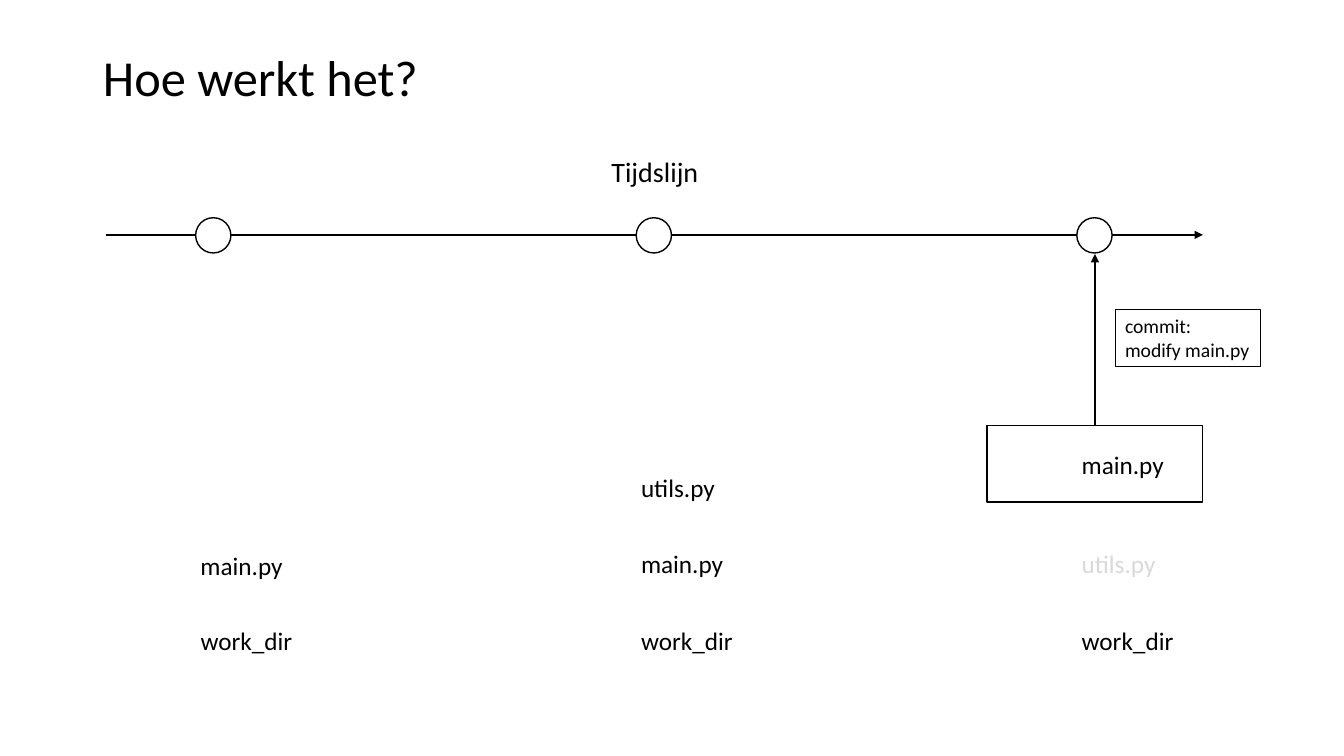
import pptx
import pptx.dml.color
import pptx.enum.shapes
import pptx.enum.text
import pptx.oxml
import pptx.oxml.ns
import pptx.util

Inches = pptx.util.Inches
Pt = pptx.util.Pt
Shape = pptx.enum.shapes.MSO_SHAPE
Align = pptx.enum.text.PP_ALIGN
Anchor = pptx.enum.text.MSO_ANCHOR
AutoSize = pptx.enum.text.MSO_AUTO_SIZE

BLACK = pptx.dml.color.RGBColor(0x00, 0x00, 0x00)
WHITE = pptx.dml.color.RGBColor(0xFF, 0xFF, 0xFF)
GREY = pptx.dml.color.RGBColor(0xD9, 0xD9, 0xD9)

FIRST_LABEL, FIRST_COMMIT, COMMIT_STEP = 1.89, 1.94, 4.37
COMMIT_SIZE, COMMIT_TOP = 0.35, 2.16
TIMELINE_Y = 2.33
FILE_WIDTHS = {"work_dir": 1.12, "main.py": 1.04, "utils.py": 0.94}
WORK_DIRS = [
    [("work_dir", 6.15, BLACK), ("main.py", 5.41, BLACK)],
    [("work_dir", 6.15, BLACK), ("main.py", 5.39, BLACK), ("utils.py", 4.64, BLACK)],
    [("work_dir", 6.15, BLACK), ("utils.py", 5.39, GREY), ("main.py", 4.41, BLACK)],
]


class TimelineSlide:
    """Draws the elements of a commit timeline on one slide in one style."""

    def __init__(self, deck, font="Calibri"):
        self.font = font
        self.slide = deck.slides.add_slide(deck.slide_layouts[5])
        self.shapes = self.slide.shapes

    def apply(self, target, values):
        for name, value in values.items():
            setattr(target, name, value)

    def fill_text(self, frame, lines, size, color=BLACK, align=Align.LEFT, spacing=1.0,
                  **layout):
        self.apply(frame, layout)
        frame.text = "\n".join(lines)
        for paragraph in frame.paragraphs:
            self.apply(paragraph, {"alignment": align, "line_spacing": spacing})
            self.apply(paragraph.font, {"name": self.font, "size": Pt(size)})
            paragraph.font.color.rgb = color

    def title(self, text, left, top, width, height):
        heading = self.shapes.title
        self.apply(heading, {"left": Inches(left), "top": Inches(top),
                             "width": Inches(width), "height": Inches(height)})
        self.fill_text(heading.text_frame, [text], 36, spacing=0.9,
                       vertical_anchor=Anchor.MIDDLE, auto_size=AutoSize.NONE)

    def label(self, text, left, top, width, height, size, wrap=False, **style):
        caption = self.shapes.add_textbox(*map(Inches, (left, top, width, height)))
        self.fill_text(caption.text_frame, [text], size, word_wrap=wrap,
                       auto_size=AutoSize.SHAPE_TO_FIT_TEXT, **style)

    def outline(self, kind, left, top, width, height, weight=1, fill=None):
        figure = self.shapes.add_shape(kind, *map(Inches, (left, top, width, height)))
        figure.shadow.inherit = False
        if fill is None:
            figure.fill.background()
        else:
            figure.fill.solid()
            figure.fill.fore_color.rgb = fill
        figure.line.color.rgb = BLACK
        figure.line.width = Pt(weight)
        return figure

    def arrow(self, x1, y1, x2, y2, weight, source=None):
        link = self.shapes.add_connector(
            pptx.enum.shapes.MSO_CONNECTOR.STRAIGHT, *map(Inches, (x1, y1, x2, y2)))
        if source is not None:
            link.begin_connect(source, 0)
        link.line.color.rgb = BLACK
        link.line.width = Pt(weight)
        properties = link._element.spPr
        namespace = pptx.oxml.ns.nsdecls("a")
        properties.find(pptx.oxml.ns.qn("a:ln")).append(
            pptx.oxml.parse_xml(f'<a:tailEnd {namespace} type="triangle"/>'))
        properties.append(pptx.oxml.parse_xml(f"<a:effectLst {namespace}/>"))


def main():
    deck = pptx.Presentation()
    deck.slide_width, deck.slide_height = Inches(13.33), Inches(7.5)
    timeline = TimelineSlide(deck)

    timeline.title("Hoe werkt het?", 0.92, 0.4, 11.5, 0.79)
    timeline.arrow(1.05, TIMELINE_Y, 11.93, TIMELINE_Y, 1.5)
    timeline.label("Tijdslijn", 1.05, 1.48, 10.89, 0.44, 20, wrap=True, align=Align.CENTER)

    for column, files in enumerate(WORK_DIRS):
        offset = column * COMMIT_STEP
        timeline.outline(Shape.OVAL, FIRST_COMMIT + offset, COMMIT_TOP,
                         COMMIT_SIZE, COMMIT_SIZE, fill=WHITE)
        for name, top, color in files:
            timeline.label(name, FIRST_LABEL + offset, top, FILE_WIDTHS[name], 0.4, 18,
                           color=color)

    changed_file = timeline.outline(Shape.RECTANGLE, 9.79, 4.22, 2.14, 0.76)
    timeline.arrow(10.86, 4.22, 10.86, 2.52, 1, source=changed_file)
    commit_note = timeline.outline(Shape.RECTANGLE, 11.06, 3.07, 1.44, 0.57, weight=0.75)
    timeline.fill_text(commit_note.text_frame, ["commit:", "modify main.py"], 14,
                       word_wrap=False, auto_size=AutoSize.SHAPE_TO_FIT_TEXT,
                       vertical_anchor=Anchor.TOP)

    deck.save("out.pptx")


if __name__ == "__main__":
    main()
